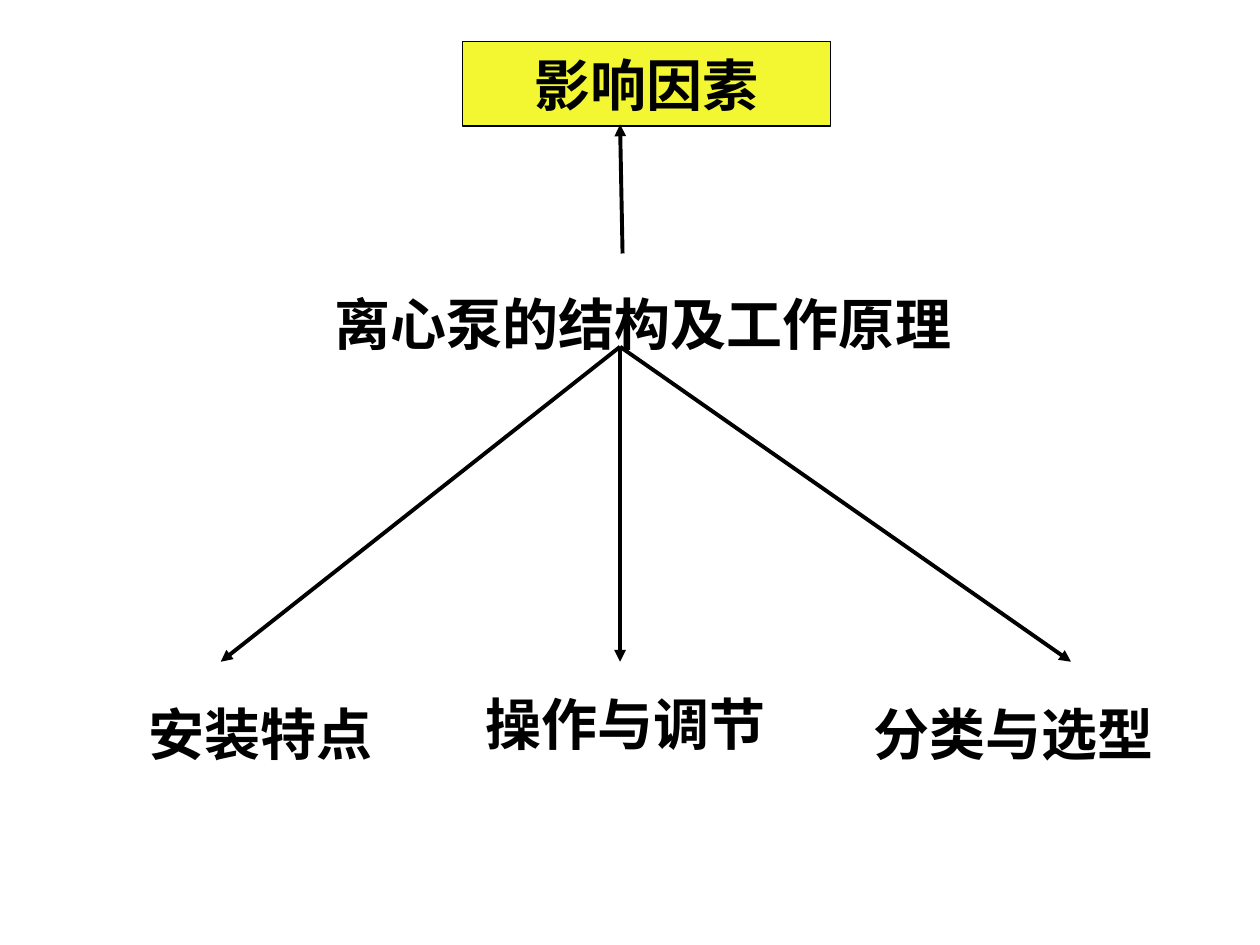
from dataclasses import dataclass

from lxml.etree import SubElement
from pptx import Presentation
from pptx.dml.color import RGBColor
from pptx.enum.shapes import MSO_CONNECTOR, MSO_SHAPE
from pptx.enum.text import MSO_ANCHOR, PP_ALIGN
from pptx.oxml.ns import qn
from pptx.util import Cm, Pt


@dataclass(frozen=True)
class Theme:
    ink: RGBColor = RGBColor(0x00, 0x00, 0x00)
    highlight: RGBColor = RGBColor(0xF2, 0xF7, 0x31)
    font: str = "Roboto"
    text_size: Pt = Pt(32)
    border: Pt = Pt(0.75)
    arrow: Pt = Pt(2.25)


class Diagram:
    def __init__(self, slide, theme):
        self.slide = slide
        self.theme = theme

    def set_wording(self, frame, wording):
        frame.text = wording
        font = frame.paragraphs[0].runs[0].font
        font.name = self.theme.font
        font.size = self.theme.text_size
        font.bold = True
        font.color.rgb = self.theme.ink

    def label(self, wording, left, top, width, height=1.63):
        topic = self.slide.shapes.add_textbox(Cm(left), Cm(top), Cm(width), Cm(height))
        topic.text_frame.word_wrap = True
        self.set_wording(topic.text_frame, wording)

    def box(self, wording, left, top, width, height):
        panel = self.slide.shapes.add_shape(
            MSO_SHAPE.RECTANGLE, Cm(left), Cm(top), Cm(width), Cm(height)
        )
        panel.shadow.inherit = False
        panel.fill.solid()
        panel.fill.fore_color.rgb = self.theme.highlight
        panel.line.color.rgb = self.theme.ink
        panel.line.width = self.theme.border
        frame = panel.text_frame
        frame.word_wrap = False
        frame.vertical_anchor = MSO_ANCHOR.MIDDLE
        self.set_wording(frame, wording)
        frame.paragraphs[0].alignment = PP_ALIGN.CENTER

    def arrow(self, start, end):
        link = self.slide.shapes.add_connector(
            MSO_CONNECTOR.STRAIGHT, *(Cm(length) for length in (*start, *end))
        )
        link.line.color.rgb = self.theme.ink
        link.line.width = self.theme.arrow
        properties = link._element.spPr
        SubElement(properties.find(qn("a:ln")), qn("a:tailEnd"), type="triangle")
        SubElement(properties, qn("a:effectLst"))


def main():
    deck = Presentation()
    deck.slide_width, deck.slide_height = Cm(25.4), Cm(19.05)
    blank_layout = deck.slide_layouts[6]
    diagram = Diagram(deck.slides.add_slide(blank_layout), Theme())

    diagram.label("离心泵的结构及工作原理", 6.5, 5.72, 13.34)
    branches = [
        ("安装特点", 2.74, 13.97, 5.51),
        ("操作与调节", 9.53, 13.77, 6.55),
        ("分类与选型", 17.35, 13.97, 6.35),
    ]
    for branch in branches:
        diagram.label(*branch)

    hub = (12.5, 6.99)
    for branch_x in (4.45, 21.59, 12.5):
        diagram.arrow(hub, (branch_x, 13.34))

    diagram.box("影响因素", 9.32, 0.84, 7.42, 1.7)
    diagram.arrow((12.55, 5.11), (12.5, 2.51))

    deck.save("out.pptx")


if __name__ == "__main__":
    main()
